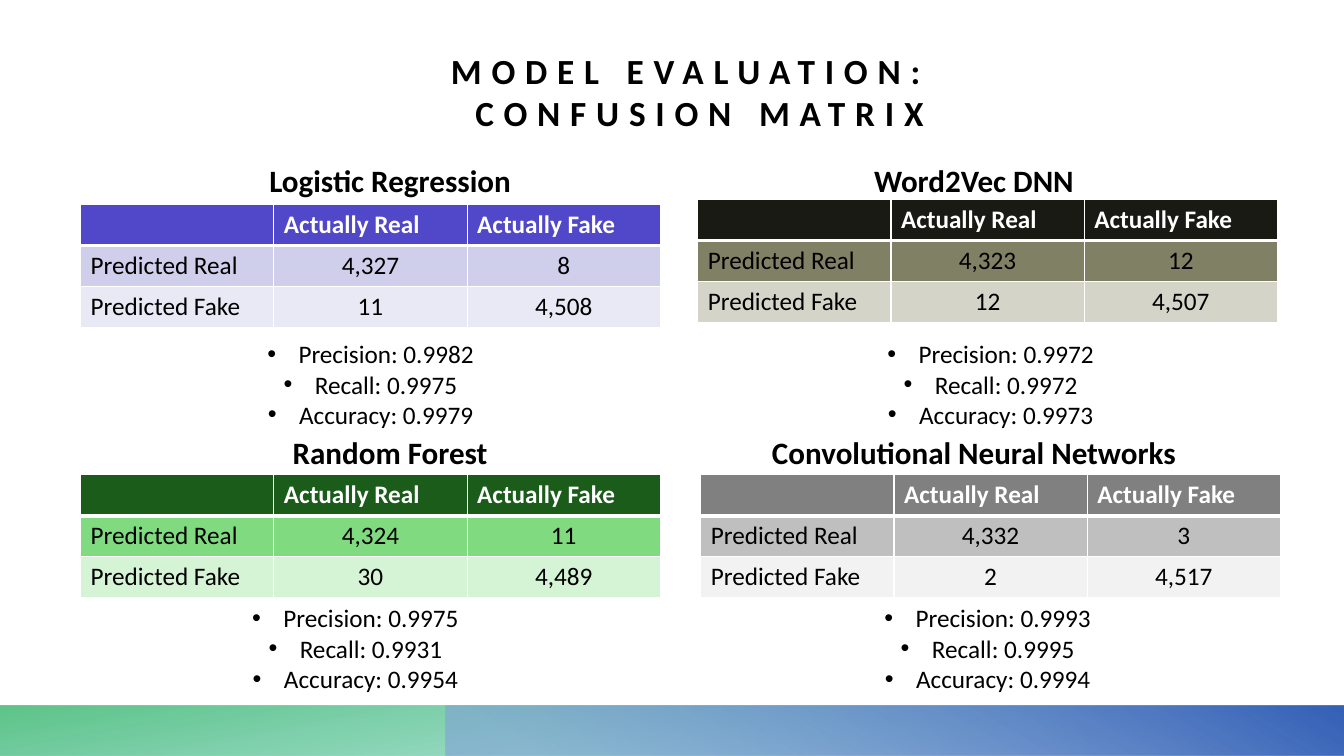
import pptx
import pptx.util
import pptx.dml.color
import pptx.enum.shapes
import pptx.enum.text
import pptx.oxml.ns
from lxml import etree

Inches = pptx.util.Inches
Pt = pptx.util.Pt
qn = pptx.oxml.ns.qn
RGB = pptx.dml.color.RGBColor.from_string
ALIGN = pptx.enum.text.PP_ALIGN
ANCHOR = pptx.enum.text.MSO_ANCHOR

COLORS = {
    "black": "000000", "white": "FFFFFF",
    "teal": "35B7A0", "green": "42BA73", "sky": "809EDA", "blue": "3561B7",
}

presentation = pptx.Presentation()
presentation.slide_width = Inches(13.33)
presentation.slide_height = Inches(7.5)
slide = presentation.slides.add_slide(presentation.slide_layouts[6])


def format_paragraph(paragraph, size, color="black", bold=False, align=ALIGN.CENTER):
    paragraph.alignment = align
    for run in paragraph.runs:
        values = {"name": "Calibri", "size": Pt(size), "bold": bold}
        for name, value in values.items():
            setattr(run.font, name, value)
        run.font.color.rgb = RGB(COLORS[color])


def add_heading(text, left, top, width, height, size):
    frame = slide.shapes.add_textbox(
        Inches(left), Inches(top), Inches(width), Inches(height)).text_frame
    values = {"word_wrap": True, "vertical_anchor": ANCHOR.BOTTOM, "margin_left": 0,
              "margin_right": 0, "margin_top": 0, "margin_bottom": 0}
    for name, value in values.items():
        setattr(frame, name, value)
    frame.text = text
    format_paragraph(frame.paragraphs[0], size, bold=True)
    return frame.paragraphs[0]


footer_bars = [
    (0, 13.33, 180, 100, [(0.14, "teal", 28), (1, "green", 85)]),
    (4.42, 8.92, 0, 240, [(0.09, "sky", 55), (0.99, "blue", 100)]),
]
for left, width, rotation, angle, stops in footer_bars:
    bar = slide.shapes.add_shape(
        pptx.enum.shapes.MSO_SHAPE.RECTANGLE,
        Inches(left), Inches(7), Inches(width), Inches(0.5))
    bar.shadow.inherit = False
    bar.line.fill.background()
    bar.rotation = rotation
    bar.element.spPr.find(qn("a:xfrm")).set("flipH", "1")
    bar.fill.gradient()
    bar.fill.gradient_angle = 360 - angle
    for gradient_stop, (position, color, opacity) in zip(bar.fill.gradient_stops, stops):
        gradient_stop.position = position
        gradient_stop.color.rgb = RGB(COLORS[color])
    for color_element, (position, color, opacity) in zip(
            bar.element.spPr.iter(qn("a:srgbClr")), stops):
        etree.SubElement(color_element, qn("a:alpha"), val=str(opacity * 1000))

title = add_heading("MODEL EVALUATION: \vCONFUSION MATRIX", 1.48, 0.73, 10.92, 0.6, 25.2)
for run in title.runs:
    run.font._element.set("spc", "700")

LEFT_HEADING = (1.34, 5.06)
RIGHT_HEADING = (6.92, 5.48)
models = [
    ("Logistic Regression", LEFT_HEADING, 1.56, (0.8, 2.03), (0.8, 3.31),
     ("5147C9", "D0CFEB", "E9E9F5"), ("4,327", "8", "11", "4,508"),
     ("0.9982", "0.9975", "0.9979")),
    ("Random Forest", LEFT_HEADING, 4.26, (0.8, 4.71), (0.65, 5.93),
     ("1B5C1B", "80DA80", "D5F3D5"), ("4,324", "11", "30", "4,489"),
     ("0.9975", "0.9931", "0.9954")),
    ("Word2Vec DNN", RIGHT_HEADING, 1.56, (6.92, 1.98), (6.95, 3.31),
     ("1A1A14", "808065", "D4D4C8"), ("4,323", "12", "12", "4,507"),
     ("0.9972", "0.9972", "0.9973")),
    ("Convolutional Neural Networks", RIGHT_HEADING, 4.26, (6.95, 4.71), (6.92, 5.93),
     ("808080", "BFBFBF", "F2F2F2"), ("4,332", "3", "2", "4,517"),
     ("0.9993", "0.9995", "0.9994")),
]

for name, (left, width), top, table_at, scores_at, row_fills, counts, scores in models:
    heading = add_heading(name, left, top, width, 0.41, 22.2)
    heading.line_spacing = 1.1
    heading.space_before = Pt(10)

    table = slide.shapes.add_table(
        3, 3, Inches(table_at[0]), Inches(table_at[1]), Inches(5.75), Inches(1.22)).table
    rows = [
        ("", "Actually Real", "Actually Fake"),
        ("Predicted Real", *counts[:2]),
        ("Predicted Fake", *counts[2:]),
    ]
    for row_index, texts in enumerate(rows):
        is_header = row_index == 0
        for column_index, text in enumerate(texts):
            cell = table.cell(row_index, column_index)
            cell.fill.solid()
            cell.fill.fore_color.rgb = RGB(row_fills[row_index])
            cell.text = text
            is_count = column_index > 0 and not is_header
            format_paragraph(
                cell.text_frame.paragraphs[0], 18,
                "white" if is_header else "black", is_header,
                ALIGN.CENTER if is_count else ALIGN.LEFT)
            properties = cell._tc.get_or_add_tcPr()
            for position, side in enumerate("LRTB"):
                is_thick = (row_index, side) in ((0, "B"), (1, "T"))
                border = etree.Element(qn("a:ln" + side), w=str(Pt(3 if is_thick else 1)))
                border_fill = etree.SubElement(border, qn("a:solidFill"))
                etree.SubElement(border_fill, qn("a:srgbClr"), val=COLORS["white"])
                properties.insert(position, border)

    frame = slide.shapes.add_textbox(
        Inches(scores_at[0]), Inches(scores_at[1]), Inches(5.75), Inches(1.01)).text_frame
    frame.word_wrap = True
    frame.auto_size = pptx.enum.text.MSO_AUTO_SIZE.SHAPE_TO_FIT_TEXT
    frame.text = "\n".join(
        f"{label}: {score}" for label, score in zip(("Precision", "Recall", "Accuracy"), scores))
    for paragraph in frame.paragraphs:
        format_paragraph(paragraph, 18)
        properties = paragraph._p.get_or_add_pPr()
        properties.set("marL", str(Inches(0.31)))
        properties.set("indent", str(-Inches(0.31)))
        etree.SubElement(properties, qn("a:buFont"), typeface="Arial")
        etree.SubElement(properties, qn("a:buChar"), char="•")

presentation.save("out.pptx")
